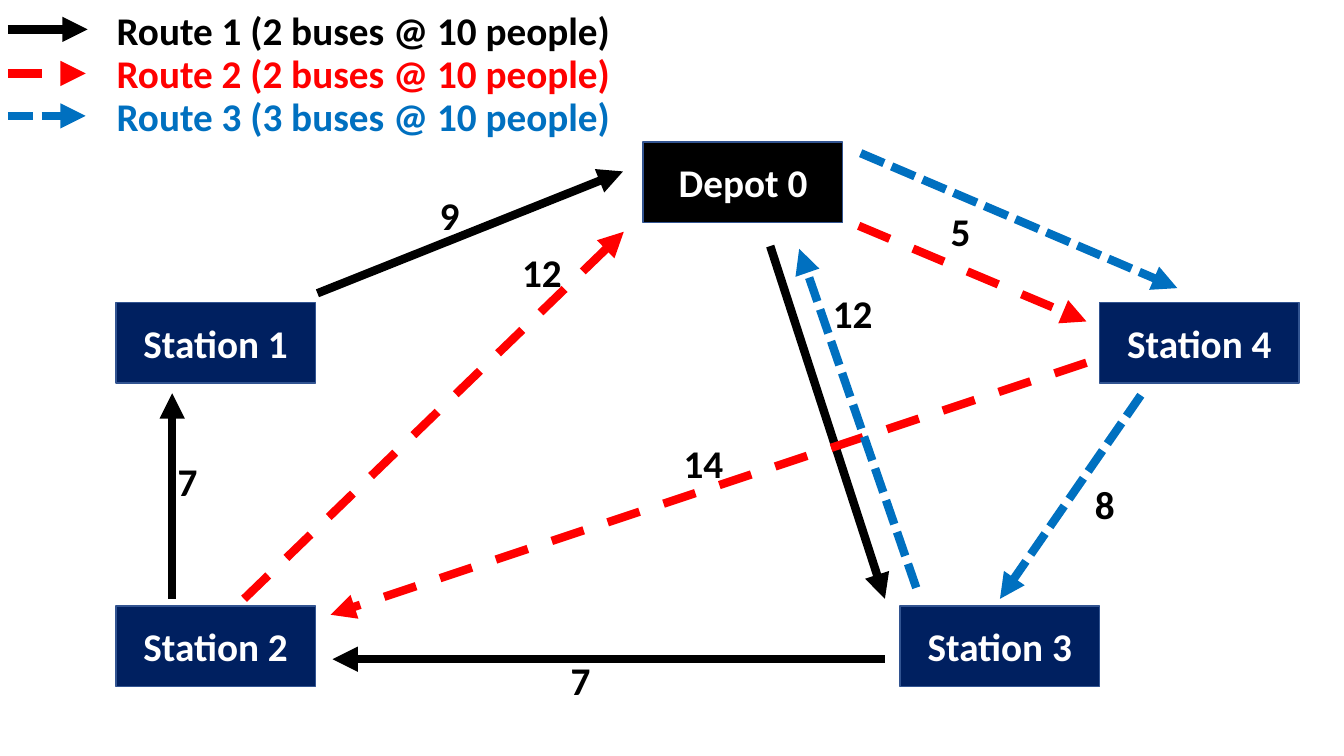
from lxml import etree
from pptx import Presentation
from pptx.dml.color import RGBColor
from pptx.enum import dml, shapes, text
from pptx.oxml.ns import qn
from pptx.util import Cm, Pt

BLACK, RED, BLUE, NAVY, EDGE, WHITE = (
    "000000", "FF0000", "0070C0", "002060", "325491", "FFFFFF")
DASH = dml.MSO_LINE.DASH
DOT = dml.MSO_LINE.SQUARE_DOT

ROUTES = [
    ("Route 1 (2 buses @ 10 people)", BLACK, None, 0.74, 2.21, [
        (19.41, 6.2, 22.3, 15.09),
        (22.3, 16.61, 8.38, 16.61),
        (4.34, 15.09, 4.34, 9.91),
        (8, 7.39, 15.7, 4.32)]),
    ("Route 2 (2 buses @ 10 people)", RED, DASH, 1.85, 2.16, [
        (21.64, 5.69, 27.38, 8.1),
        (27.38, 9.14, 8.33, 15.49),
        (6.15, 15.09, 15.72, 5.84)]),
    ("Route 3 (3 buses @ 10 people)", BLUE, DOT, 2.92, 2.16, [
        (21.69, 3.86, 29.67, 7.26),
        (28.75, 9.96, 25.2, 15.09),
        (23.09, 14.81, 20.14, 6.27)]),
]
STOPS = [
    ("Station 1", 2.92, 7.62, NAVY),
    ("Station 2", 2.92, 15.27, NAVY),
    ("Depot 0", 16.21, 3.58, BLACK),
    ("Station 4", 27.71, 7.62, NAVY),
    ("Station 3", 22.68, 15.27, NAVY),
]
COSTS = [
    ("9", 10.82, 4.7), ("7", 4.22, 11.4), ("12", 12.9, 6.12),
    ("8", 27.33, 11.99), ("7", 14.12, 16.41), ("14", 16.97, 10.95),
    ("5", 23.7, 5.11), ("12", 20.73, 7.16),
]


def color(tone):
    return RGBColor.from_string(tone)


def write(frame, words, tone, align):
    para = frame.paragraphs[0]
    para.alignment = align
    run = para.add_run()
    run.text = words
    font = run.font
    font.name, font.size, font.bold = "Calibri", Pt(28), True
    font.color.rgb = color(tone)


def label(slide, words, x, y, w, tone=BLACK, align=text.PP_ALIGN.CENTER):
    box = slide.shapes.add_textbox(Cm(x), Cm(y), Cm(w), Cm(1.45))
    frame = box.text_frame
    frame.word_wrap = False
    frame.auto_size = text.MSO_AUTO_SIZE.SHAPE_TO_FIT_TEXT
    write(frame, words, tone, align)


def stop(slide, name, x, y, tone):
    box = slide.shapes.add_shape(
        shapes.MSO_SHAPE.RECTANGLE, Cm(x), Cm(y), Cm(5.03), Cm(2.03))
    box.shadow.inherit = False
    box.fill.solid()
    box.fill.fore_color.rgb = color(tone)
    box.line.color.rgb = color(EDGE)
    box.line.width = Pt(1)
    box.text_frame.vertical_anchor = text.MSO_ANCHOR.MIDDLE
    write(box.text_frame, name, WHITE, text.PP_ALIGN.CENTER)


def arrow(slide, ends, tone, dash):
    link = slide.shapes.add_connector(
        shapes.MSO_CONNECTOR.STRAIGHT, *[Cm(end) for end in ends])
    link.line.color.rgb = color(tone)
    link.line.width = Pt(6)
    if dash:
        link.line.dash_style = dash
    head = etree.SubElement(link.line._get_or_add_ln(), qn("a:tailEnd"))
    head.set("type", "triangle")
    etree.SubElement(link._element.spPr, qn("a:effectLst"))


def main():
    deck = Presentation()
    deck.slide_width, deck.slide_height = Cm(33.87), Cm(19.05)
    slide = deck.slides.add_slide(deck.slide_layouts[6])
    for row, (name, tone, dash, y, tip, _) in enumerate(ROUTES):
        arrow(slide, (0.2, y, tip, y), tone, dash)
        label(slide, name, 2.69, 0.03 + 1.09 * row, 13.08, tone,
              text.PP_ALIGN.LEFT)
    for item in STOPS:
        stop(slide, *item)
    for _, tone, dash, _, _, legs in ROUTES:
        for ends in legs:
            arrow(slide, ends, tone, dash)
    for cost, x, y in COSTS:
        label(slide, cost, x, y, 0.52 + 0.5 * len(cost))
    deck.save("out.pptx")


if __name__ == "__main__":
    main()
